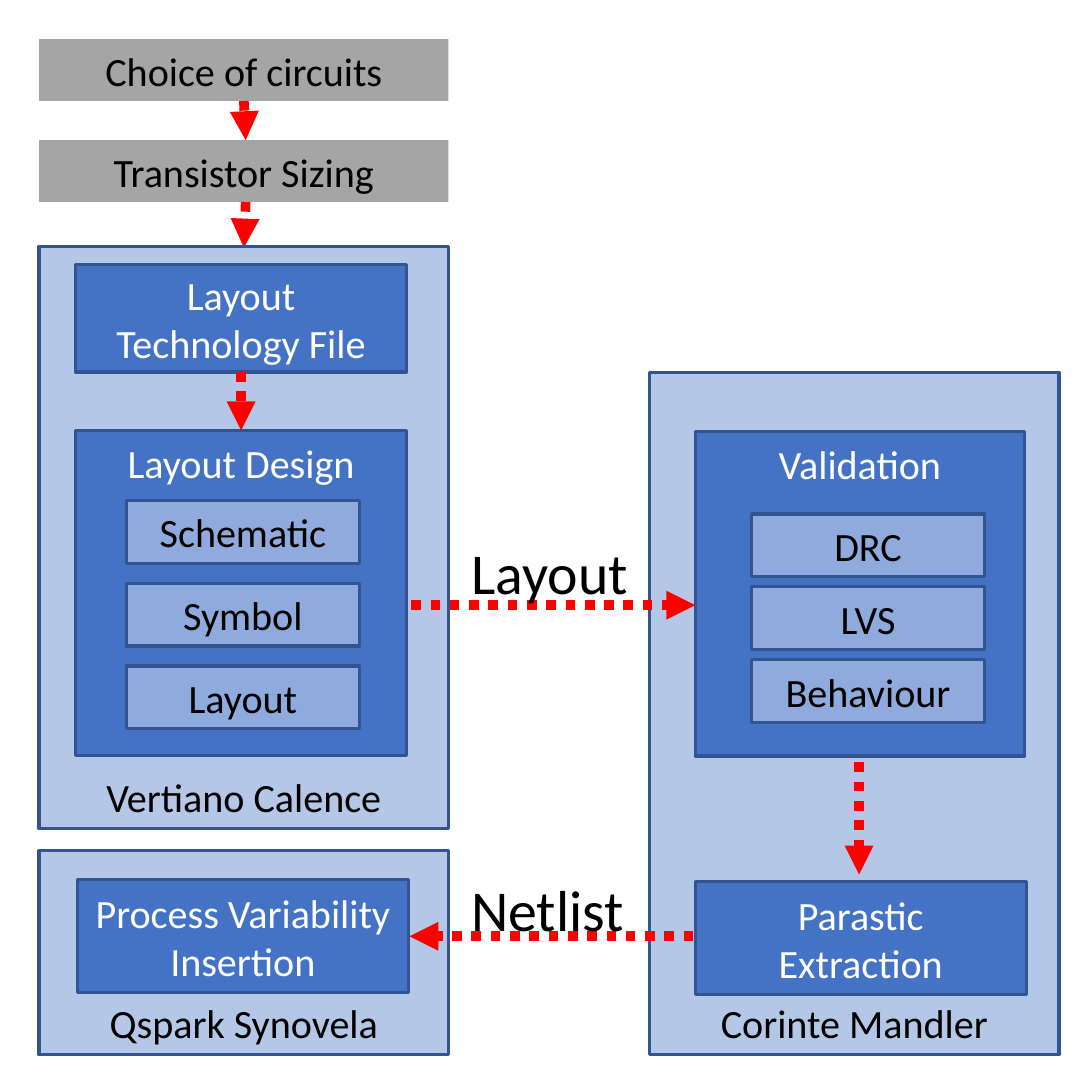
from lxml.etree import SubElement
from pptx import Presentation
from pptx.dml.color import RGBColor
from pptx.enum.dml import MSO_LINE as Dash
from pptx.enum.shapes import MSO_CONNECTOR as Link, MSO_SHAPE as Form
from pptx.enum.text import MSO_ANCHOR as Anchor, MSO_AUTO_SIZE as Auto, PP_ALIGN as Align
from pptx.oxml.ns import qn
from pptx.util import Cm, Pt

BLACK, WHITE, RED = "000000", "FFFFFF", "FF0000"
GREY, PALE, MID, DEEP, EDGE = "A5A5A5", "B4C7E7", "8FAADC", "4472C4", "325491"
WIDE = 4.5


def color(code):
    """Turn a hex string into a colour."""
    return RGBColor.from_string(code)


def style(frame, text, size, ink, align):
    """Fill a text frame with one formatted paragraph."""
    frame.text = text
    para = frame.paragraphs[0]
    para.alignment = align
    font = para.runs[0].font
    font.name, font.size = "Calibri", Pt(size)
    font.color.rgb = color(ink)


def block(slide, box, text, fill, ink=BLACK, anchor=Anchor.MIDDLE, edge=EDGE):
    """Draw a filled box with centred text."""
    shape = slide.shapes.add_shape(Form.RECTANGLE, *map(Cm, box))
    shape.shadow.inherit = False
    shape.fill.solid()
    shape.fill.fore_color.rgb = color(fill)
    if edge:
        shape.line.color.rgb = color(edge)
        shape.line.width = Pt(1)
    else:
        shape.line.fill.background()
    frame = shape.text_frame
    frame.word_wrap = True
    frame.vertical_anchor = anchor
    frame.margin_left = frame.margin_right = Cm(0.18)
    frame.margin_top = frame.margin_bottom = Cm(0.09)
    style(frame, text, 12.5, ink, Align.CENTER)


def arrow(slide, *ends):
    """Draw a dotted red arrow between two points."""
    link = slide.shapes.add_connector(Link.STRAIGHT, *map(Cm, ends))
    link.line.color.rgb = color(RED)
    link.line.width = Pt(3)
    link.line.dash_style = Dash.ROUND_DOT
    props = link.element.spPr
    SubElement(props.find(qn("a:ln")), qn("a:tailEnd"), type="triangle")
    SubElement(props, qn("a:effectLst"))


def label(slide, left, top, text):
    """Write a large label above an arrow."""
    note = slide.shapes.add_textbox(Cm(left), Cm(top), Cm(2.25), Cm(1.02))
    frame = note.text_frame
    frame.word_wrap = False
    frame.auto_size = Auto.SHAPE_TO_FIT_TEXT
    style(frame, text, 18, BLACK, Align.LEFT)


def stack(slide, box, title, items, inset, drop, pitch):
    """Draw a titled block holding evenly spaced items."""
    left, top, _, _ = box
    block(slide, box, title, DEEP, WHITE, Anchor.TOP)
    for row, item in enumerate(items):
        spot = left + inset, top + drop + row * pitch, 2.56, 0.69
        block(slide, spot, item, MID)


def start(slide, left, top):
    """Draw the two opening steps."""
    for row, text in enumerate(("Choice of circuits", "Transistor Sizing")):
        block(slide, (left, top + row * 1.11, WIDE, 0.68), text, GREY, edge=None)
    mid = left + WIDE / 2
    arrow(slide, mid, top + 0.68, mid + 0.02, top + 1.11)
    arrow(slide, mid + 0.02, top + 1.79, mid, top + 2.29)


def design(slide, left, top):
    """Draw the layout design region."""
    block(slide, (left, top, WIDE, 6.4), "Vertiano Calence", PALE, anchor=Anchor.BOTTOM)
    inner = left + 0.4
    block(slide, (inner, top + 0.2, 3.64, 1.18), "Layout Technology File", DEEP, WHITE)
    stack(slide, (inner, top + 2.02, 3.64, 3.57), "Layout Design",
          ("Schematic", "Symbol", "Layout"), 0.56, 0.77, 0.91)
    mid = inner + 1.82
    arrow(slide, mid, top + 1.38, mid, top + 2.02)


def insert(slide, left, top):
    """Draw the variability region."""
    block(slide, (left, top, WIDE, 2.24), "Qspark Synovela", PALE, anchor=Anchor.BOTTOM)
    block(slide, (left + 0.42, top + 0.32, 3.64, 1.24),
          "Process Variability Insertion", DEEP, WHITE, Anchor.TOP)


def check(slide, left, top):
    """Draw the validation region."""
    block(slide, (left, top, WIDE, 7.5), "Corinte Mandler", PALE, anchor=Anchor.BOTTOM)
    inner = left + 0.5
    stack(slide, (inner, top + 0.65, 3.62, 3.57), "Validation",
          ("DRC", "LVS", "Behaviour"), 0.62, 0.91, 0.8)
    block(slide, (inner, top + 5.6, 3.64, 1.24), "Parastic Extraction", DEEP, WHITE, Anchor.TOP)
    mid = inner + 1.8
    arrow(slide, mid, top + 4.29, mid, top + 5.52)


def flow(slide, left, top):
    """Draw the labelled arrows between the columns."""
    arrow(slide, left, top + 0.88, left + 3.12, top + 0.88)
    arrow(slide, left + 3.1, top + 4.52, left - 0.02, top + 4.52)
    for row, text in enumerate(("Layout", "Netlist")):
        label(slide, left + 0.41, top + row * 3.71, text)


def main():
    """Build and save the slide."""
    deck = Presentation()
    deck.slide_width = deck.slide_height = Cm(12)
    slide = deck.slides.add_slide(deck.slide_layouts[6])
    start(slide, 0.43, 0.43)
    design(slide, 0.43, 2.71)
    insert(slide, 0.43, 9.35)
    check(slide, 7.14, 4.09)
    flow(slide, 4.52, 5.77)
    deck.save("out.pptx")


if __name__ == "__main__":
    main()
